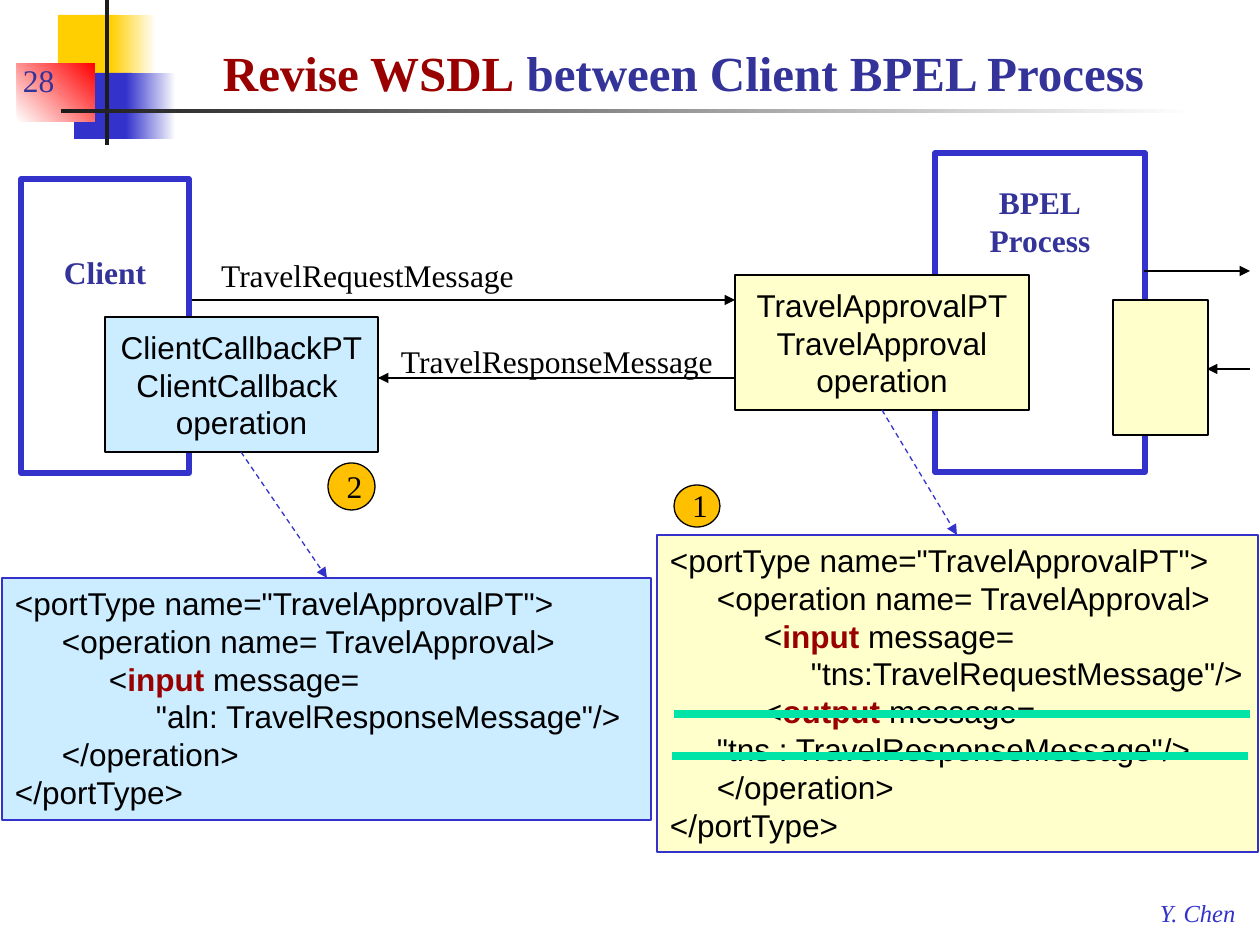
from lxml import etree
from pptx import Presentation
from pptx.dml.color import RGBColor
from pptx.enum.dml import MSO_LINE
from pptx.enum.shapes import MSO_CONNECTOR, MSO_SHAPE
from pptx.enum.text import MSO_ANCHOR, PP_ALIGN
from pptx.oxml.ns import qn
from pptx.util import Emu, Pt

RECT, OVAL = MSO_SHAPE.RECTANGLE, MSO_SHAPE.OVAL
STRAIGHT, DASH = MSO_CONNECTOR.STRAIGHT, MSO_LINE.DASH
TOP, MID, LOW = MSO_ANCHOR.TOP, MSO_ANCHOR.MIDDLE, MSO_ANCHOR.BOTTOM
LEFT, MAIN = PP_ALIGN.LEFT, PP_ALIGN.CENTER
PX = 914400 // 126
TAB = 47
SERIF, SANS = "Times New Roman", "Arial"

COLORS = {
    "gold": "FFCF01", "blue": "3333CC", "navy": "333399", "red": "FF0000",
    "dark": "1C1C1C", "white": "FFFFFF", "black": "000000", "key": "990000",
    "cream": "FFFFCC", "sky": "CCECFF", "amber": "FFC000", "green": "00E4A8",
}

STYLES = {
    "title": dict(font=SERIF, size=28, color="navy", bold=True, anchor=LOW),
    "page": dict(font=SERIF, color="navy", anchor=LOW),
    "author": dict(font=SERIF, size=14, color="blue", italic=True),
    "client": dict(font=SERIF, color="navy", bold=True, align=MAIN, inset=(13, 74)),
    "bpel": dict(font=SERIF, color="navy", bold=True, align=MAIN, inset=(13, 30)),
    "label": dict(font=SERIF, wrap=True),
    "middle": dict(font=SERIF, align=MAIN, wrap=True),
    "badge": dict(font=SERIF, align=MAIN, anchor=MID, inset=(6, 4), right=0),
    "port": dict(font=SANS, align=MAIN, anchor=MID, lead=21.6),
    "code": dict(font=SANS, lead=21.6),
}

DECOR = [
    (58, 15, 60, 66, "gold", None, 0),
    (111, 15, 45, 66, "gold", "white", 0),
    (74, 73, 58, 66, "blue", None, 0),
    (126, 73, 50, 66, "blue", "white", 0),
    (17, 63, 78, 59, "white", "red", 45),
    (105, 0, 4, 145, "dark", None, 0),
    (61, 109, 1134, 4, "dark", "white", 0),
]

REQUEST = """<portType name="TravelApprovalPT">
\t<operation name= TravelApproval>
\t\t<*input* message=
\t\t\t"tns:TravelRequestMessage"/>
\t\t<*output* message=
\t"tns : TravelResponseMessage"/>
\t</operation>
</portType>"""

CALLBACK = """<portType name="TravelApprovalPT">
\t<operation name= TravelApproval>
\t\t<*input* message=
\t\t\t"aln: TravelResponseMessage"/>
\t</operation>
</portType>"""

ITEMS = [
    ("text", (1147, 892, 103, 42), "Y. Chen", "author"),
    ("text", (10, 42, 98, 63), "28", "page"),
    ("box", (657, 535, 601, 317), "cream", "blue", 0.75, REQUEST, "code"),
    ("box", (935, 153, 210, 319), None, "blue", 3, "BPEL\nProcess", "bpel"),
    ("text", (210, 21, 1040, 86), "*Revise WSDL* between Client BPEL Process", "title"),
    ("line", (1144, 271, 1250, 271), "black", 0.75, True, False),
    ("line", (1250, 369, 1207, 369), "black", 0.75, True, False),
    ("box", (1113, 300, 95, 135), "cream", "black", 0.75, "", "port"),
    ("box", (735, 275, 294, 135), "cream", "black", 0.75,
     "TravelApprovalPT\nTravelApproval\voperation", "port"),
    ("line", (189, 300, 735, 300), "black", 0.75, True, False),
    ("line", (735, 378, 189, 378), "black", 0.75, True, False),
    ("text", (189, 250, 357, 50), "TravelRequestMessage", "middle"),
    ("text", (388, 336, 357, 50), "TravelResponseMessage", "label"),
    ("box", (21, 179, 168, 294), None, "blue", 3, "Client", "client"),
    ("line", (882, 410, 957, 535), "blue", 0.75, True, True),
    ("line", (674, 714, 1250, 714), "green", 4.5, False, False),
    ("line", (672, 756, 1248, 756), "green", 4.5, False, False),
    ("box", (105, 317, 273, 135), "sky", "black", 0.75,
     "ClientCallbackPT\nClientCallback \voperation", "port"),
    ("line", (735, 378, 378, 378), "black", 1.5, True, False),
    ("box", (2, 578, 649, 242), "sky", "blue", 0.75, CALLBACK, "code"),
    ("line", (241, 452, 327, 578), "blue", 0.75, True, True),
    ("oval", (674, 485, 46, 42), "amber", "black", 0.75, "1", "badge"),
    ("oval", (328, 463, 47, 47), "amber", "black", 0.75, "2", "badge"),
]


def px(nums):
    return [Emu(n * PX) for n in nums]


def rgb(name):
    return RGBColor.from_string(COLORS[name])


def write(shape, text, font, size=18, color="black", bold=False, italic=False,
          align=LEFT, anchor=TOP, wrap=False, inset=(13, 6), right=13, lead=None):
    frame = shape.text_frame
    frame.word_wrap = wrap
    frame.vertical_anchor = anchor
    frame.margin_left, frame.margin_top, frame.margin_right, frame.margin_bottom = px(
        (*inset, right, 6))
    frame.text = text.replace("*", "")
    for para, row in zip(frame.paragraphs, text.split("\n")):
        para.alignment = align
        if lead:
            para.line_spacing = Pt(lead)
        if "\t" in row:
            tabs = etree.SubElement(para._p.get_or_add_pPr(), qn("a:tabLst"))
            for n in (1, 2, 3):
                etree.SubElement(tabs, qn("a:tab"), pos=str(n * TAB * PX), algn="l")
        if "*" in row:
            para.clear()
            for part in row.split("*"):
                para.add_run().text = part
        for n, run in enumerate(para.runs):
            key = "*" in row and n % 2 == 1
            face = run.font
            face.name, face.size = font, Pt(size)
            face.bold, face.italic = bold or key, italic
            face.color.rgb = rgb("key" if key else color)


def add_box(shapes, kind, place, fill, edge, width, text, style):
    shape = shapes.add_shape(kind, *px(place))
    shape.shadow.inherit = False
    if fill:
        shape.fill.solid()
        shape.fill.fore_color.rgb = rgb(fill)
    else:
        shape.fill.background()
    if edge:
        shape.line.color.rgb = rgb(edge)
        shape.line.width = Pt(width)
    else:
        shape.line.fill.background()
    if text:
        write(shape, text, **STYLES[style])
    return shape


def add_text(shapes, place, text, style):
    write(shapes.add_textbox(*px(place)), text, **STYLES[style])


def add_line(shapes, ends, color, width, arrow, dash):
    link = shapes.add_connector(STRAIGHT, *px(ends))
    link.line.color.rgb = rgb(color)
    link.line.width = Pt(width)
    if dash:
        link.line.dash_style = DASH
    if arrow:
        etree.SubElement(link.line._get_or_add_ln(), qn("a:tailEnd"), type="triangle")
    etree.SubElement(link._element.spPr, qn("a:effectLst"))


def add_decor(shapes, left, top, width, height, start, end, angle):
    shape = add_box(shapes, RECT, (left, top, width, height), start, None, 0, "", None)
    if end:
        shape.fill.gradient()
        shape.fill.gradient_angle = angle
        for stop, name in zip(shape.fill.gradient_stops, (start, end)):
            stop.color.rgb = rgb(name)


def main():
    deck = Presentation()
    deck.slide_width, deck.slide_height = px((1260, 945))
    shapes = deck.slides.add_slide(deck.slide_layouts[6]).shapes
    for spec in DECOR:
        add_decor(shapes, *spec)
    for kind, *rest in ITEMS:
        if kind == "text":
            add_text(shapes, *rest)
        elif kind == "line":
            add_line(shapes, *rest)
        else:
            add_box(shapes, OVAL if kind == "oval" else RECT, *rest)
    deck.save("out.pptx")


if __name__ == "__main__":
    main()
